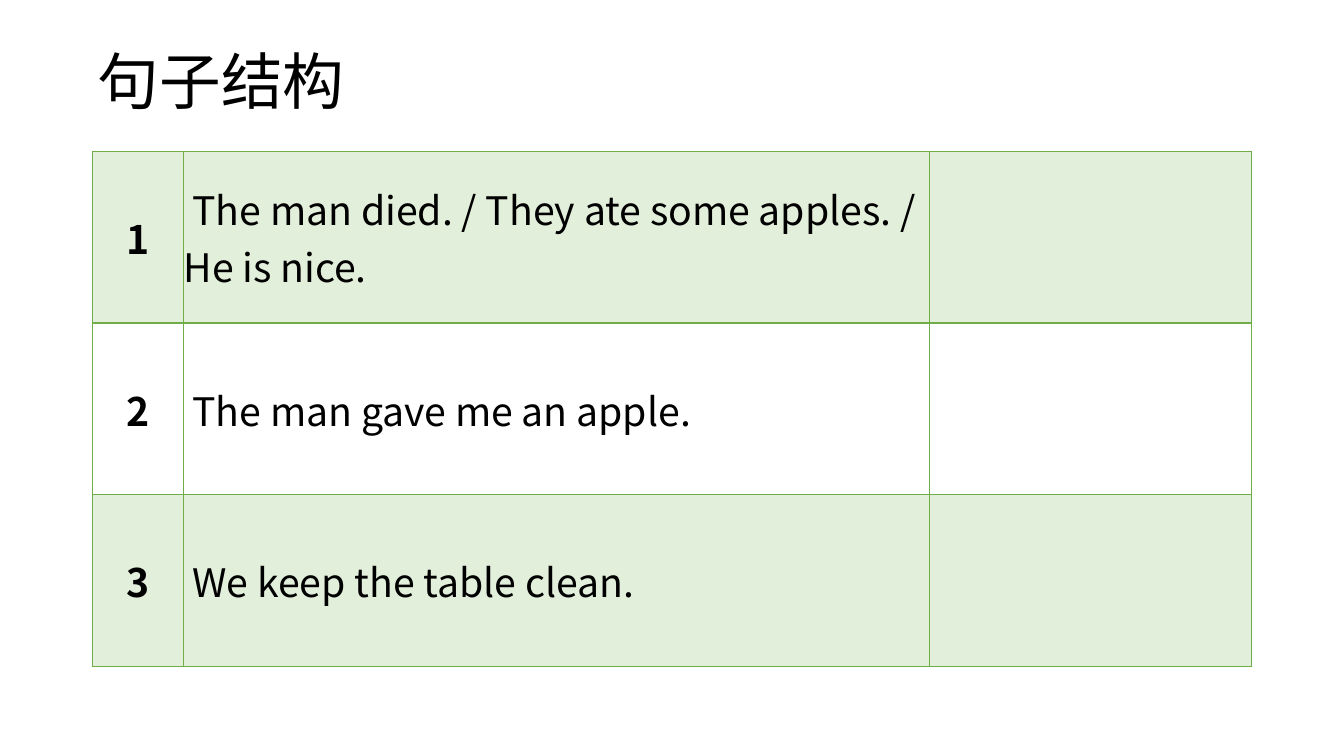
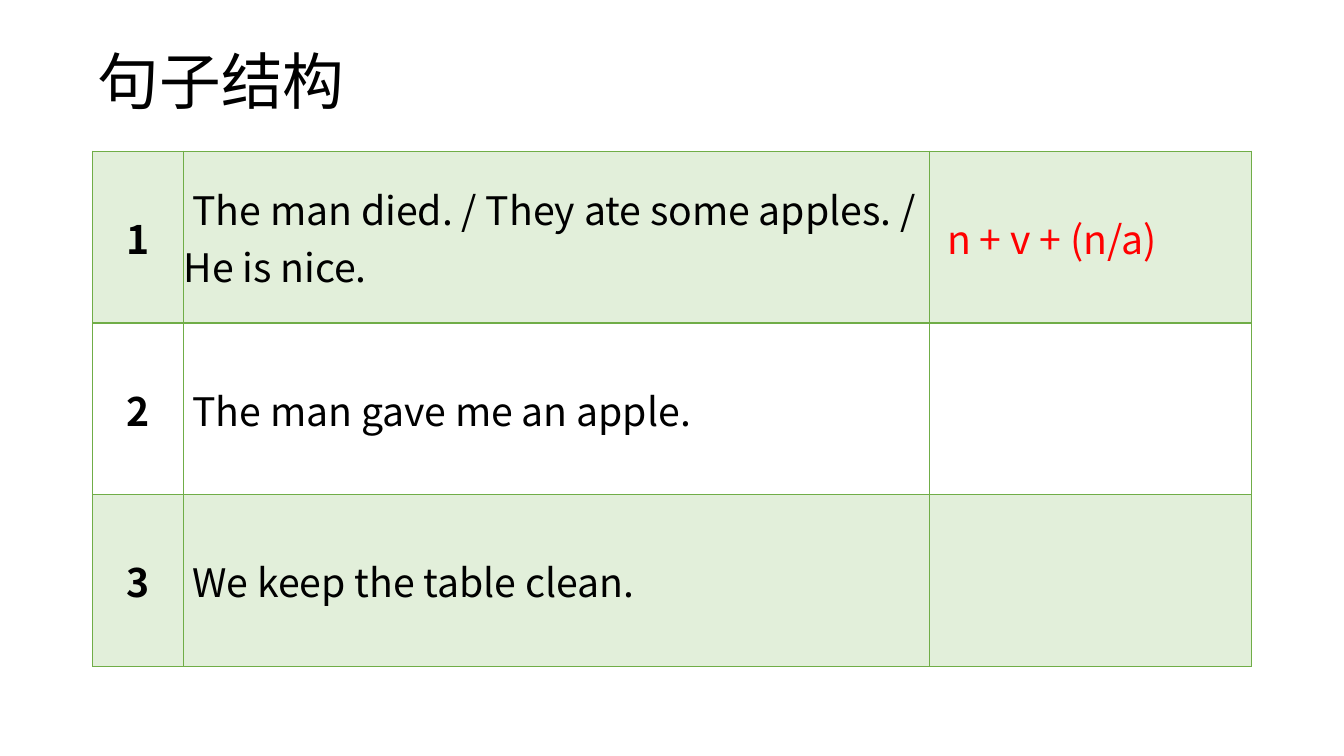
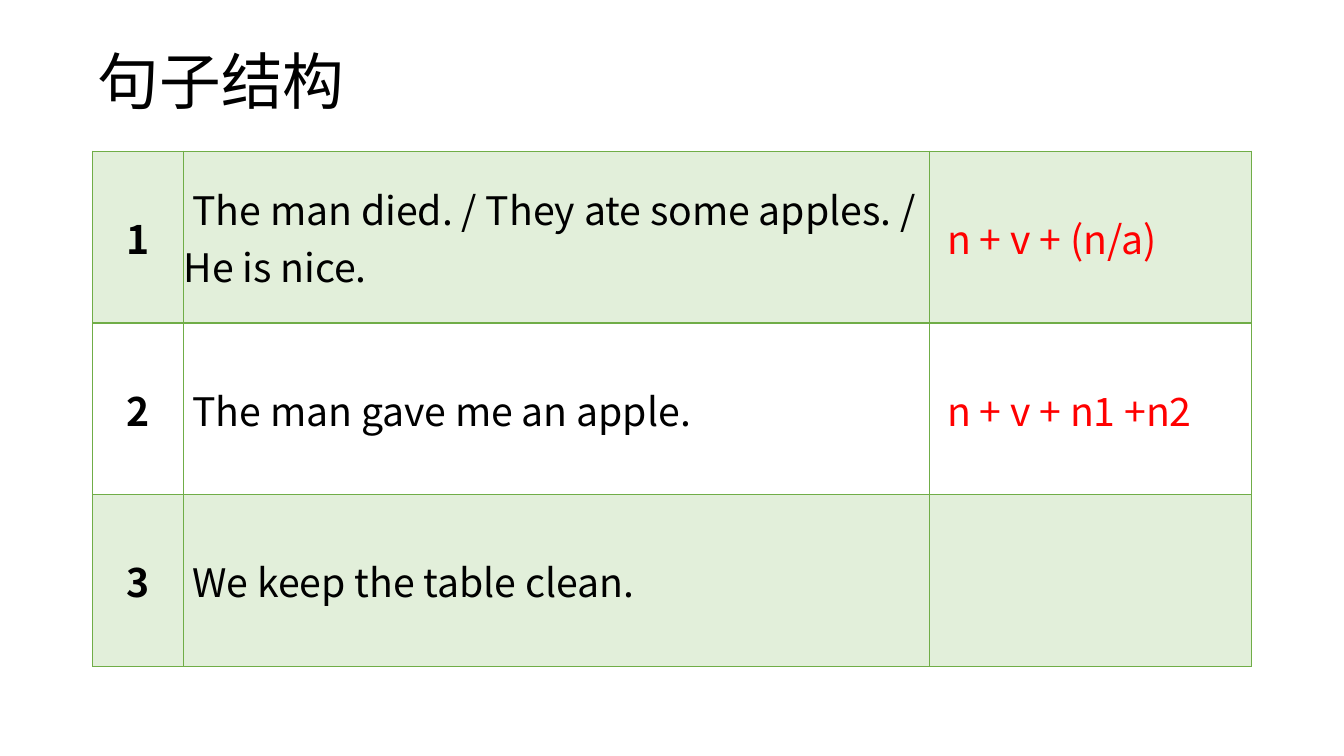
from lxml.etree import SubElement
from pptx import Presentation
from pptx.dml.color import RGBColor as Rgb
from pptx.enum.text import MSO_ANCHOR as Anchor, PP_ALIGN as Align
from pptx.oxml.ns import qn
from pptx.util import Cm, Pt

# Shared look
COLORS = {"text": "000000", "answer": "FF0000", "grid": "70AD47", "band": "E2EFDA"}
FONT = "Noto Sans CJK SC"
LEFT, WIDTH = Cm(2.34), Cm(29.21)
TITLE_TOP, TITLE_HEIGHT = Cm(1.02), Cm(2.21)
TABLE_TOP, ROW_HEIGHT = Cm(3.81), Cm(4.33)
COLUMN_WIDTHS = (Cm(2.29), Cm(18.8), Cm(8.12))
GRID_WIDTH = Pt(1)
MARGINS = ("margin_left", "margin_right", "margin_top", "margin_bottom")

TITLE_FORMAT = {"size": Pt(44), "bold": False}
NUMBER_FORMAT = {"size": Pt(28), "bold": True}
SENTENCE_FORMAT = {"size": Pt(28), "bold": False}

# Content
TITLE = "句子结构"
SENTENCES = (
    "The man died. / They ate some apples. / He is nice.",
    "The man gave me an apple.",
    "We keep the table clean.",
)
PATTERNS = ("n + v + (n/a)", "n + v + n1 +n2")


def set_attributes(target, values):
    for key, value in values.items():
        setattr(target, key, value)


def write(paragraph, text, font_format, color="text", align=Align.LEFT, indent=0):
    """Write one formatted run, with an optional first-line indent."""
    paragraph.alignment = align
    if indent:
        properties = paragraph._p.get_or_add_pPr()
        properties.set("marL", "0")
        properties.set("indent", str(indent))
    run = paragraph.add_run()
    run.text = text
    set_attributes(run.font, {"name": FONT, **font_format})
    run.font.color.rgb = Rgb.from_string(COLORS[color])
    SubElement(run.font._element, qn("a:ea"), typeface=FONT)


def add_title(slide):
    frame = slide.shapes.add_textbox(LEFT, TITLE_TOP, WIDTH, TITLE_HEIGHT).text_frame
    set_attributes(frame, {"word_wrap": True, "vertical_anchor": Anchor.MIDDLE,
                           **dict.fromkeys(MARGINS, Cm(0.13))})
    heading = frame.paragraphs[0]
    heading.line_spacing = 0.9
    write(heading, TITLE, TITLE_FORMAT)


def style_cell(cell, banded):
    set_attributes(cell, {"vertical_anchor": Anchor.MIDDLE,
                          **dict.fromkeys(MARGINS, 0)})
    # Borders come before the fill in the cell properties
    properties = cell._tc.get_or_add_tcPr()
    for side in ("a:lnL", "a:lnR", "a:lnT", "a:lnB"):
        border = SubElement(properties, qn(side), w=str(GRID_WIDTH))
        fill = SubElement(border, qn("a:solidFill"))
        SubElement(fill, qn("a:srgbClr"), val=COLORS["grid"])
    if banded:
        cell.fill.solid()
        cell.fill.fore_color.rgb = Rgb.from_string(COLORS["band"])
    else:
        cell.fill.background()


def add_sentence_table(slide, patterns):
    grid = slide.shapes.add_table(len(SENTENCES), len(COLUMN_WIDTHS), LEFT, TABLE_TOP,
                                  WIDTH, ROW_HEIGHT * len(SENTENCES)).table
    set_attributes(grid, {"first_row": False, "horz_banding": False})
    for column, width in zip(grid.columns, COLUMN_WIDTHS):
        column.width = width
    for index, (row, sentence) in enumerate(zip(grid.rows, SENTENCES)):
        row.height = ROW_HEIGHT
        for cell in row.cells:
            style_cell(cell, banded=index % 2 == 0)
        number, example, answer = (c.text_frame.paragraphs[0] for c in row.cells)
        write(number, str(index + 1), NUMBER_FORMAT, align=Align.CENTER)
        write(example, sentence, SENTENCE_FORMAT, indent=Cm(0.22))
        if index < len(patterns):
            write(answer, patterns[index], SENTENCE_FORMAT, "answer", indent=Cm(0.44))


def main():
    deck = Presentation()
    set_attributes(deck, {"slide_width": Cm(33.87), "slide_height": Cm(19.05)})
    # Each slide reveals one more sentence pattern
    for revealed in range(len(PATTERNS) + 1):
        slide = deck.slides.add_slide(deck.slide_layouts[6])
        add_sentence_table(slide, PATTERNS[:revealed])
        add_title(slide)
    deck.save("out.pptx")


if __name__ == "__main__":
    main()
